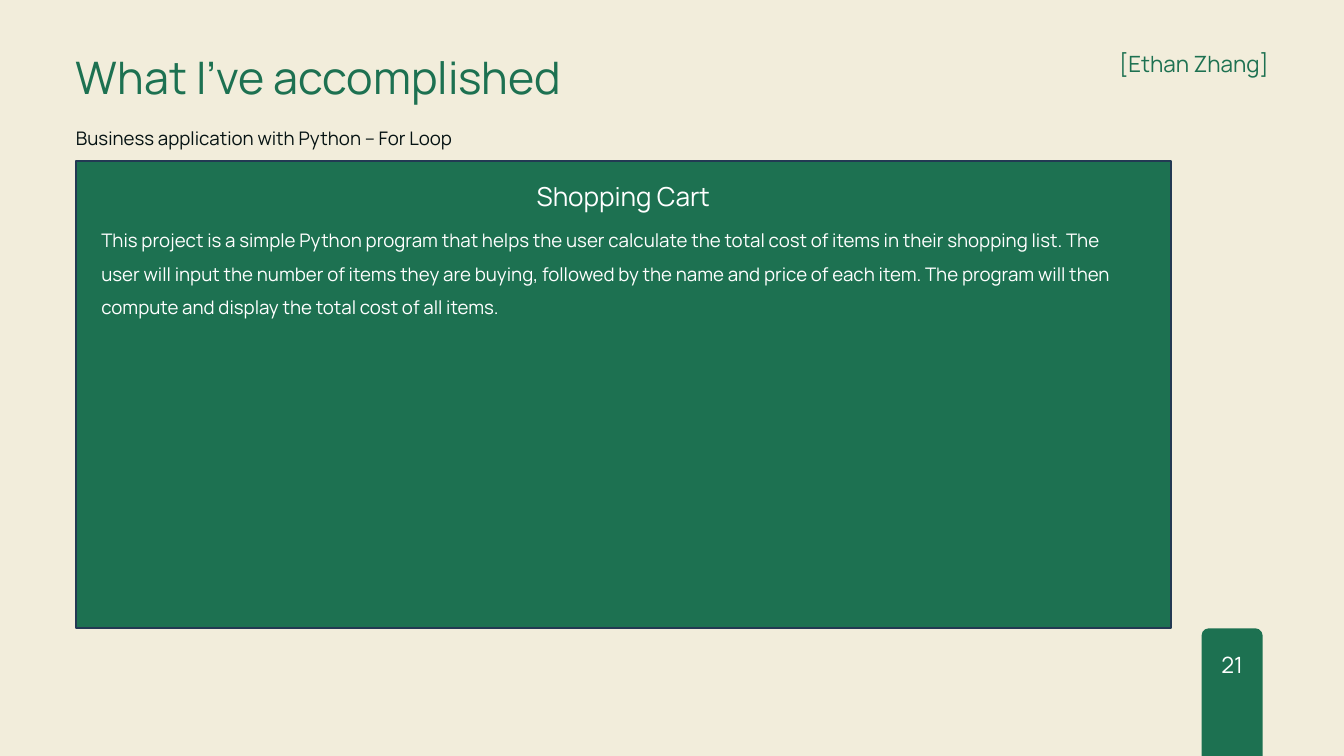
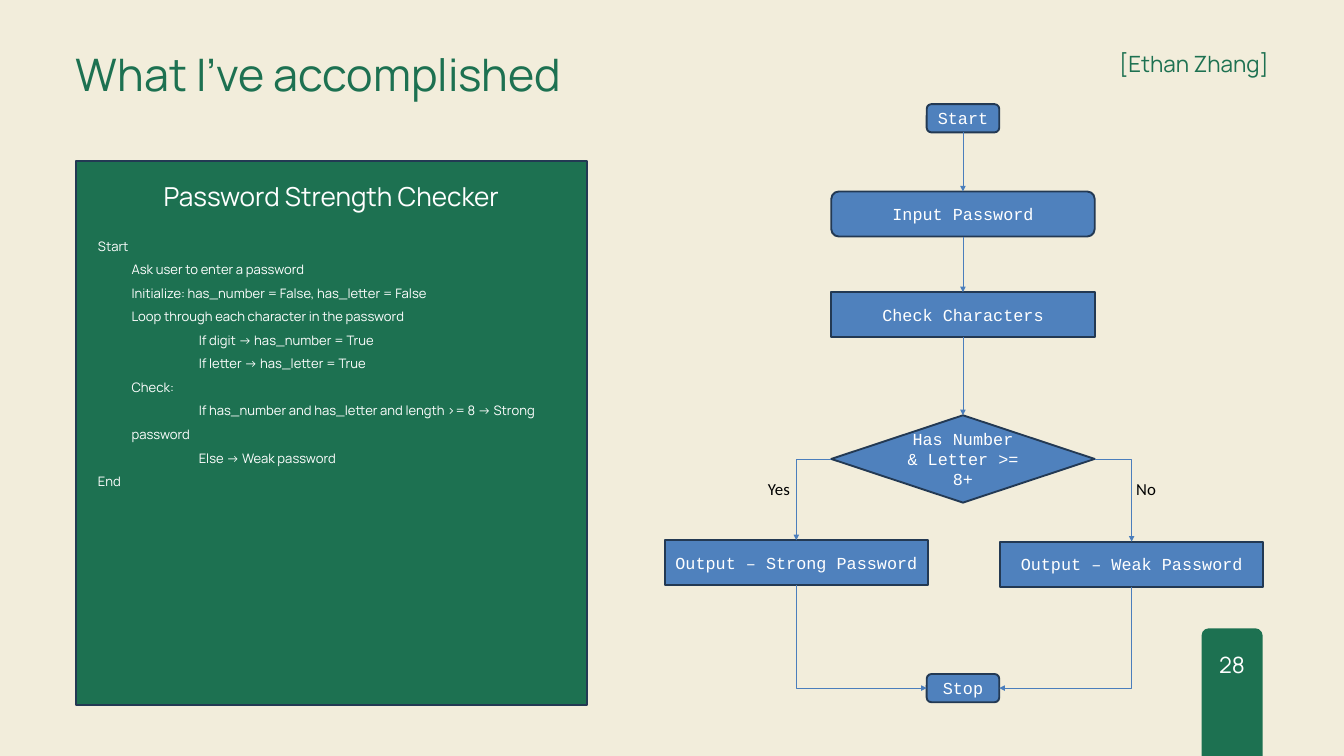
import pptx
import pptx.util
import pptx.dml.color
import pptx.enum.shapes
import pptx.enum.text
import pptx.oxml
import pptx.oxml.ns

Inches = pptx.util.Inches
Pt = pptx.util.Pt
RGBColor = pptx.dml.color.RGBColor
Kind = pptx.enum.shapes.MSO_SHAPE
Wire = pptx.enum.shapes.MSO_CONNECTOR
Align = pptx.enum.text.PP_ALIGN
Anchor = pptx.enum.text.MSO_ANCHOR
Fit = pptx.enum.text.MSO_AUTO_SIZE
qn = pptx.oxml.ns.qn

CREAM = RGBColor(0xF2, 0xED, 0xDB)
GREEN = RGBColor(0x1D, 0x71, 0x51)
INK = RGBColor(0x06, 0x13, 0x13)
NAVY = RGBColor(0x23, 0x39, 0x53)
BLUE = RGBColor(0x4F, 0x81, 0xBD)
WIRE = RGBColor(0x4B, 0x7E, 0xBC)
WHITE = RGBColor(0xFF, 0xFF, 0xFF)
BLACK = RGBColor(0, 0, 0)

BRAND, CODE, PLAIN = "Manrope", "Courier New", "Calibri"
EDGE = 1.13           # left margin
WIDE = 3.92           # width of a large flow box
TOP, LEFT, BASE, RIGHT = range(4)   # connection sites


class Deck:
    def __init__(self):
        self.prs = pptx.Presentation()
        self.prs.slide_width = Inches(20)
        self.prs.slide_height = Inches(11.25)
        self.slide = None

    def page(self, number, title_top):
        """Start a slide with its title, author and page tab."""
        self.slide = self.prs.slides.add_slide(self.prs.slide_layouts[6])
        fill = self.slide.background.fill
        fill.solid()
        fill.fore_color.rgb = CREAM
        tab = self.shape(Kind.ROUNDED_RECTANGLE, 17.88, 9.35, 0.91, 2, GREEN)
        tab.adjustments[0] = 0.12
        self.line("What I’ve accomplished", EDGE, title_top, 16.29, 0.79,
                  48, GREEN, 56)
        self.line("[Ethan Zhang]", 14.99, 0.68, 3.89, 0.46,
                  24, GREEN, 33.6, Align.RIGHT)
        self.line(str(number), 18, 9.62, 0.67, 0.46,
                  24, WHITE, 33.6, Align.CENTER)

    def style(self, para, size, color, font=BRAND, align=Align.LEFT,
              space=None):
        para.alignment = align
        para.line_spacing = space
        for run in para.runs:
            run.font.size = Pt(size)
            run.font.name = font
            run.font.color.rgb = color

    def box(self, x, y, w, h, wrap=True):
        shape = self.slide.shapes.add_textbox(
            Inches(x), Inches(y), Inches(w), Inches(h))
        frame = shape.text_frame
        frame.word_wrap = wrap
        frame.auto_size = Fit.SHAPE_TO_FIT_TEXT
        return frame

    def line(self, text, x, y, w, h, size, color, lead, align=Align.LEFT):
        """One line of text without insets, with fixed leading."""
        frame = self.box(x, y, w, h)
        frame.margin_left = frame.margin_right = 0
        frame.margin_top = frame.margin_bottom = 0
        frame.text = text
        self.style(frame.paragraphs[0], size, color, align=align,
                   space=Pt(lead))

    def label(self, text, x, y, w):
        frame = self.box(x, y, w, 0.4, wrap=False)
        frame.text = text
        self.style(frame.paragraphs[0], 18, BLACK, PLAIN)

    def body(self, rows, x, y, w, h, size):
        """Paragraphs given as (text, left margin, first-line indent)."""
        frame = self.box(x, y, w, h)
        for i, (text, margin, first) in enumerate(rows):
            para = frame.add_paragraph() if i else frame.paragraphs[0]
            para.text = text
            if margin:
                para.level = 1
                props = para._p.get_or_add_pPr()
                props.set("marL", str(Inches(margin)))
                props.set("indent", str(Inches(first)))
            self.style(para, size, WHITE, space=1.5)

    def shape(self, kind, x, y, w, h, color, edge=None):
        shape = self.slide.shapes.add_shape(
            kind, Inches(x), Inches(y), Inches(w), Inches(h))
        shape.shadow.inherit = False
        shape.fill.solid()
        shape.fill.fore_color.rgb = color
        if edge is None:
            shape.line.fill.background()
        else:
            shape.line.color.rgb = edge
            shape.line.width = Pt(2)
        return shape

    def panel(self, head, w, h):
        shape = self.shape(Kind.RECTANGLE, EDGE, 2.4, w, h, GREEN, NAVY)
        frame = shape.text_frame
        frame.vertical_anchor = Anchor.TOP
        frame.text = head
        self.style(frame.paragraphs[0], 28, WHITE, align=Align.CENTER,
                   space=1.5)

    def node(self, text, kind, mid, y, w=WIDE, h=0.67):
        """Flow box centred on mid."""
        shape = self.shape(kind, mid - w / 2, y, w, h, BLUE, NAVY)
        frame = shape.text_frame
        frame.word_wrap = True
        frame.vertical_anchor = Anchor.MIDDLE
        frame.text = text
        self.style(frame.paragraphs[0], 18, WHITE, CODE, Align.CENTER)
        return shape

    def link(self, start, out, end, into, bent=False):
        """Arrow between two connection sites, with one corner if bent."""
        wire = self.slide.shapes.add_connector(Wire.STRAIGHT, 0, 0, 0, 0)
        wire.begin_connect(start, out)
        wire.end_connect(end, into)
        wire.line.color.rgb = WIRE
        wire.line.width = Pt(0.75)
        props = wire._element.spPr
        tail = pptx.oxml.parse_xml(
            '<a:tailEnd %s type="triangle"/>' % pptx.oxml.ns.nsdecls("a"))
        props.find(qn("a:ln")).append(tail)
        props.append(pptx.oxml.parse_xml(
            "<a:effectLst %s/>" % pptx.oxml.ns.nsdecls("a")))
        if bent:
            props.find(qn("a:prstGeom")).set("prst", "bentConnector2")
            if out == BASE:
                self.turn(wire)

    def turn(self, wire):
        """Rotate a corner so that it runs down first, then sideways."""
        east = wire.end_x > wire.begin_x
        w, h = wire.width, wire.height
        wire.left += (w - h) // 2
        wire.top += (h - w) // 2
        wire.width, wire.height = h, w
        frame = wire._element.spPr.find(qn("a:xfrm"))
        frame.set("rot", str((270 if east else 90) * 60000))
        frame.set("flipH", "1" if east else "0")


def cart(deck):
    deck.page(21, 0.76)
    deck.line("Business application with Python – For Loop",
              EDGE, 1.67, 10.71, 0.49, 20, INK, 39.2)
    deck.panel("Shopping Cart", 16.29, 6.94)
    deck.body([(
        "This project is a simple Python program that helps the user "
        "calculate the total cost of items in their shopping list. The user "
        "will input the number of items they are buying, followed by the "
        "name and price of each item. The program will then compute and "
        "display the total cost of all items.", 0, 0)],
        1.41, 3.19, 15.67, 1.57, 20)


def checker(deck):
    deck.page(28, 0.72)

    # Pseudocode panel
    deck.panel("Password Strength Checker", 7.6, 8.09)
    deck.body([
        ("Start", 0, 0),
        ("Ask user to enter a password", 0.5, 0),
        ("Initialize: has_number = False, has_letter = False", 0.5, 0),
        ("Loop through each character in the password", 0.5, 0),
        ("If digit → has_number = True", 0.5, 1),
        ("If letter → has_letter = True", 0.5, 1),
        ("Check:", 0.5, 0),
        ("If has_number and has_letter and length >= 8 → Strong password",
         0.5, 1),
        ("Else → Weak password", 0.5, 1),
        ("End", 0, 0),
    ], 1.36, 3.38, 7.14, 4.31, 14)

    # Flow boxes
    mid, west, east = 14.33, 11.85, 16.84
    pill, rect = Kind.ROUNDED_RECTANGLE, Kind.RECTANGLE
    start = deck.node("Start", pill, mid, 1.55, 1.08, 0.42)
    entry = deck.node("Input Password", pill, mid, 2.85)
    check = deck.node("Check Characters", rect, mid, 4.35)
    test = deck.node("Has Number & Letter >= 8+", Kind.DIAMOND, mid, 6.18,
                     h=1.3)
    strong = deck.node("Output – Strong Password", rect, west, 8.04)
    weak = deck.node("Output – Weak Password", rect, east, 8.06)
    stop = deck.node("Stop", pill, mid, 10.03, 1.08, 0.42)

    # Arrows
    chain = [start, entry, check, test]
    for one, two in zip(chain, chain[1:]):
        deck.link(one, BASE, two, TOP)
    for side, leaf in ((LEFT, strong), (RIGHT, weak)):
        deck.link(test, side, leaf, TOP, bent=True)
        deck.link(leaf, BASE, stop, side, bent=True)

    # Branch labels
    deck.label("Yes", 11.33, 7.08, 0.53)
    deck.label("No", 16.81, 7.08, 0.5)


def main():
    deck = Deck()
    cart(deck)
    checker(deck)
    deck.prs.save("out.pptx")


if __name__ == "__main__":
    main()
